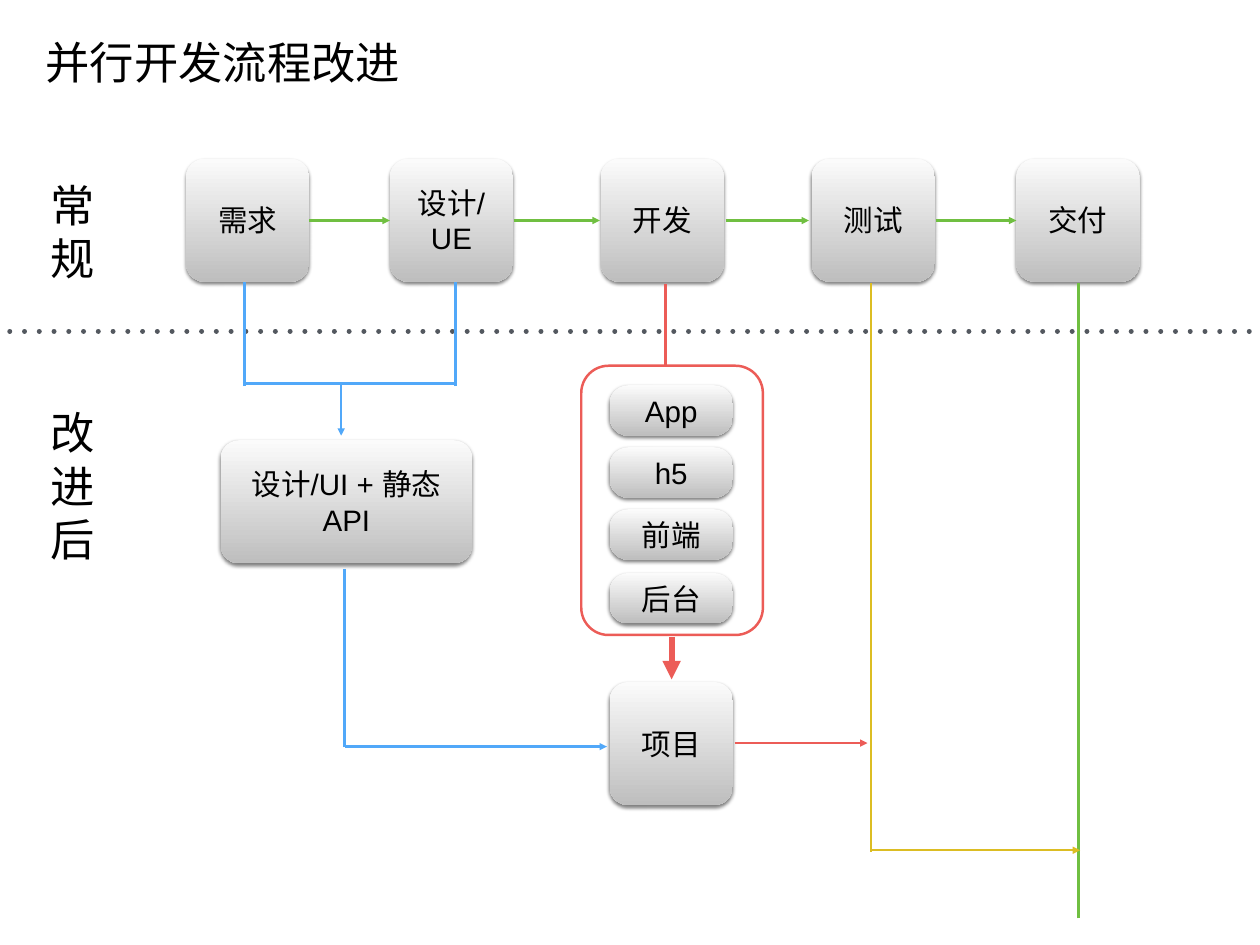
from lxml.etree import SubElement
from pptx import Presentation
from pptx.dml.color import RGBColor
from pptx.enum.shapes import MSO_CONNECTOR as LINK, MSO_SHAPE as SHAPE
from pptx.enum.text import MSO_ANCHOR as ANCHOR, PP_ALIGN as ALIGN
from pptx.oxml.ns import qn
from pptx.util import Pt

PX = 9144  # 100 px to the inch
GREEN, BLUE, RED, YELLOW = "70BF41", "51A8F9", "EC5C57", "DCBD23"
TILE, PILL_HEIGHT = 139, 57


def color(value):
    return RGBColor.from_string(value)


def set_text(box, lines, size, wrap):
    frame = box.text_frame
    frame.text = "\n".join(lines)
    frame.word_wrap = wrap
    frame.vertical_anchor = ANCHOR.MIDDLE
    frame.margin_left = frame.margin_right = 6 * PX
    frame.margin_top = frame.margin_bottom = 6 * PX
    for para in frame.paragraphs:
        para.alignment = ALIGN.CENTER
        for span in para.runs:
            span.font.size = Pt(size)
            span.font.name = "Arial"
            span.font.color.rgb = color("000000")


deck = Presentation()
deck.slide_width, deck.slide_height = 1422 * PX, 1067 * PX
page = deck.slides.add_slide(deck.slide_layouts[6])

# Title and row labels
labels = [
    (["并行开发流程改进"], 45, 39, 413, 61),
    (["常", "规"], 44, 205, 76, 112),
    (["改", "进", "后"], 44, 466, 76, 164),
]
for lines, *bounds in labels:
    label = page.shapes.add_textbox(*(n * PX for n in bounds))
    set_text(label, lines, 36, False)

# Process steps: usual row, merged design step, project, parallel pills
steps = [(name, left, 179, TILE, TILE) for name, left in [
    ("需求", 210), ("设计/UE", 440), ("开发", 678), ("测试", 916), ("交付", 1147)]]
steps += [("设计/UI + 静态API", 249, 497, 284, TILE), ("项目", 688, 770, TILE, TILE)]
steps += [(name, 688, top, TILE, PILL_HEIGHT) for name, top in [
    ("App", 435), ("h5", 505), ("前端", 575), ("后台", 647)]]
for name, *bounds in steps:
    step = page.shapes.add_shape(SHAPE.ROUNDED_RECTANGLE, *(n * PX for n in bounds))
    step.adjustments[0] = 0.37 if bounds[3] == PILL_HEIGHT else 0.15
    step.fill.gradient()
    step.fill.gradient_angle = 270
    for stop, shade, position in zip(step.fill.gradient_stops, ("FBFBFB", "BEBEBE"), (0, 1)):
        stop.color.rgb = color(shade)
        stop.position = position
    step.line.fill.background()
    step.shadow.inherit = False
    effects = step._element.spPr.find(qn("a:effectLst"))
    shadow = SubElement(effects, qn("a:outerShdw"), blurRad=str(Pt(3)),
                        dist=str(Pt(2)), dir="5400000", rotWithShape="0")
    black = SubElement(shadow, qn("a:srgbClr"), val="000000")
    SubElement(black, qn("a:alpha"), val="50000")
    set_text(step, [name], 24, True)

# Frame around the parallel work
frame_box = page.shapes.add_shape(
    SHAPE.ROUNDED_RECTANGLE, 656 * PX, 413 * PX, 205 * PX, 304 * PX)
frame_box.adjustments[0] = 0.15
frame_box.shadow.inherit = False
frame_box.fill.background()
frame_box.line.color.rgb = color(RED)
frame_box.line.width = Pt(2)

# Lines and arrows: start, end, colour, width, ending
links = [(start, 249, end, 249, GREEN, 2, "arrow") for start, end in [
    (349, 440), (580, 677), (819, 913), (1056, 1147)]]
links += [
    (11, 374, 1422, 374, "53585F", 4, "dots"),
    (276, 436, 276, 318, BLUE, 2, ""),
    (514, 436, 514, 318, BLUE, 2, ""),
    (274, 433, 515, 433, BLUE, 2, ""),
    (385, 432, 385, 492, BLUE, 2, "arrow"),
    (389, 844, 389, 642, BLUE, 2, ""),
    (389, 843, 685, 843, BLUE, 2, "arrow"),
    (751, 412, 751, 321, RED, 2, ""),
    (758, 719, 758, 767, RED, 5, "arrow"),
    (829, 839, 979, 839, RED, 2, "arrow"),
    (1217, 1037, 1217, 319, GREEN, 2, ""),
    (983, 962, 983, 319, YELLOW, 2, ""),
    (983, 960, 1219, 960, YELLOW, 2, "arrow"),
]
for *ends, shade, width, style in links:
    link = page.shapes.add_connector(LINK.STRAIGHT, *(n * PX for n in ends))
    link.line.color.rgb = color(shade)
    link.line.width = Pt(width)
    outline = link.line._get_or_add_ln()
    if style == "arrow":
        SubElement(outline, qn("a:tailEnd"), type="triangle")
    elif style == "dots":
        outline.set("cap", "rnd")
        dashes = SubElement(outline, qn("a:custDash"))
        SubElement(dashes, qn("a:ds"), d="100000", sp="200000")
    SubElement(link._element.spPr, qn("a:effectLst"))

deck.save("out.pptx")
